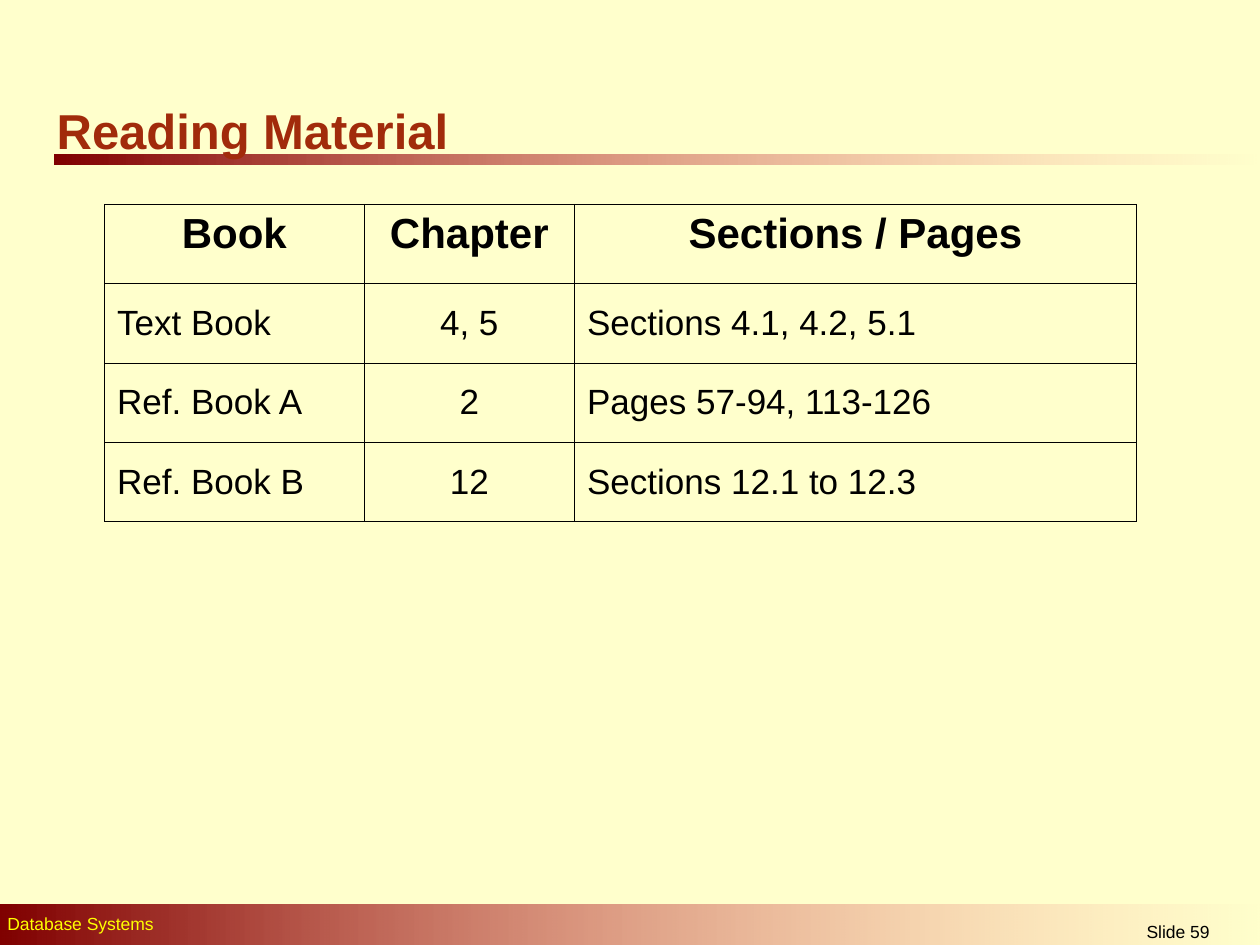
from pptx import Presentation
from pptx.dml.color import RGBColor
from pptx.enum.shapes import MSO_SHAPE as Shape
from pptx.enum.text import MSO_ANCHOR as Anchor, MSO_AUTO_SIZE as AutoSize, PP_ALIGN as Align
from pptx.oxml import parse_xml
from pptx.oxml.ns import nsdecls
from pptx.util import Inches, Pt

CREAM, MAROON, PINK, BLACK = "FFFFCC", "800000", "FF8585", "000000"


def color(value):
    return RGBColor.from_string(value)


def write(frame, text, size, ink, bold=False, align=Align.LEFT):
    frame.text = text
    paragraph = frame.paragraphs[0]
    paragraph.alignment = align
    paragraph.font.color.rgb = color(ink)
    for key, value in {"name": "Arial", "size": Pt(size), "bold": bold}.items():
        setattr(paragraph.font, key, value)


deck = Presentation()
deck.slide_width, deck.slide_height = Inches(10), Inches(7.5)
slide = deck.slides.add_slide(deck.slide_layouts[5])
slide.background.fill.solid()
slide.background.fill.fore_color.rgb = color(CREAM)

for place in [(0.43, 1.23, 9.57, 0.08), (0, 7.18, 10.03, 0.35)]:
    band = slide.shapes.add_shape(Shape.RECTANGLE, *map(Inches, place))
    band.shadow.inherit = False
    band.line.fill.background()
    band.fill.gradient()
    band.fill.gradient_angle = 0
    for stop, shade, position in zip(band.fill.gradient_stops, (MAROON, PINK), (0, 1)):
        stop.color.rgb = color(shade)
        stop.position = position
    faded = band.element.spPr.findall(".//" + "{http://schemas.openxmlformats.org/drawingml/2006/main}srgbClr")[-1]
    faded.append(parse_xml(f'<a:alpha {nsdecls("a")} val="0"/>'))

title = slide.shapes.title
slide.shapes.element.append(title.element)
placement = dict(zip(("left", "top", "width", "height"), map(Inches, (0.35, 0.76, 5.02, 0.55))))
for key, value in placement.items():
    setattr(title, key, value)
write(title.text_frame, "Reading Material", 28, "A12B0B", bold=True)
for key, value in {"vertical_anchor": Anchor.MIDDLE, "auto_size": AutoSize.NONE, "word_wrap": True}.items():
    setattr(title.text_frame, key, value)

footers = [
    ("Database Systems", (-0.04, 7.2, 6.46, 0.27), "FFFF00", Align.LEFT),
    ("Slide 59", (8.31, 7.26, 2.08, 0.24), BLACK, Align.CENTER),
]
for text, place, ink, align in footers:
    footer = slide.shapes.add_textbox(*map(Inches, place)).text_frame
    footer.word_wrap = True
    write(footer, text, 10, ink, align=align)

readings = [
    ("Book", "Chapter", "Sections / Pages"),
    ("Text Book", "4, 5", "Sections 4.1, 4.2, 5.1"),
    ("Ref. Book A", "2", "Pages 57-94, 113-126"),
    ("Ref. Book B", "12", "Sections 12.1 to 12.3"),
]
widths, row_height = (2.06, 1.67, 4.46), 0.63
table = slide.shapes.add_table(
    len(readings), len(widths), Inches(0.83), Inches(1.62),
    Inches(sum(widths)), Inches(row_height * len(readings))).table
table.horz_banding = False
for column, width in zip(table.columns, widths):
    column.width = Inches(width)

for r, reading in enumerate(readings):
    header = r == 0
    for c, text in enumerate(reading):
        cell = table.cell(r, c)
        align = Align.CENTER if header or c == 1 else Align.LEFT
        write(cell.text_frame, text, 24 if header else 20, BLACK, header, align)
        cell.vertical_anchor = Anchor.TOP if header else Anchor.MIDDLE
        for side in "LRTB":
            cell._tc.get_or_add_tcPr().append(parse_xml(
                f'<a:ln{side} {nsdecls("a")} w="{Pt(0.45)}"><a:solidFill>'
                f'<a:srgbClr val="{BLACK}"/></a:solidFill></a:ln{side}>'))
        cell.fill.solid()
        cell.fill.fore_color.rgb = color(CREAM)

deck.save("out.pptx")
